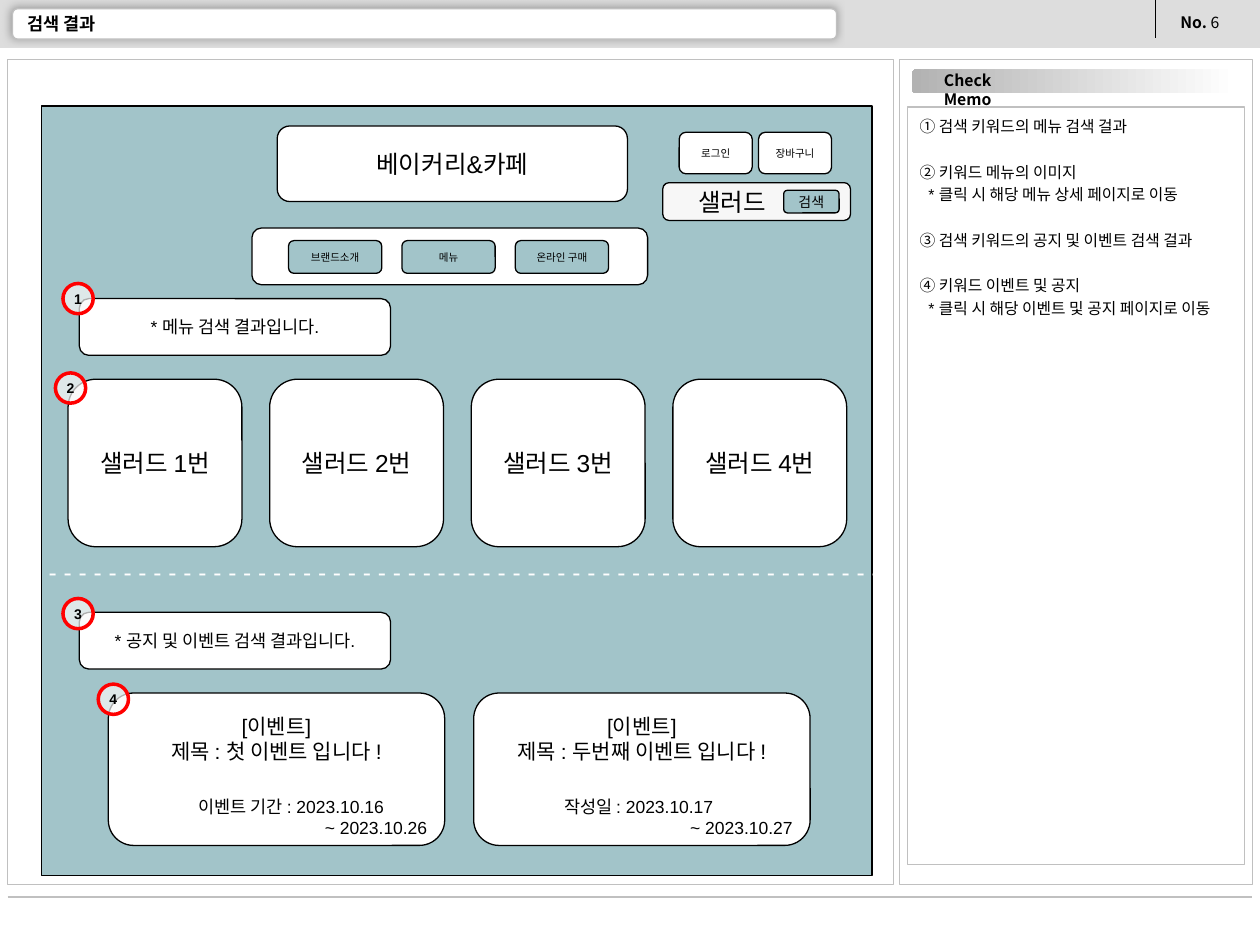
from lxml import etree
from pptx import Presentation
from pptx.dml.color import RGBColor
from pptx.enum.shapes import MSO_CONNECTOR, MSO_SHAPE
from pptx.enum.text import MSO_ANCHOR, PP_ALIGN
from pptx.oxml.ns import qn
from pptx.util import Inches, Pt

RECT, ROUND, OVAL = MSO_SHAPE.RECTANGLE, MSO_SHAPE.ROUNDED_RECTANGLE, MSO_SHAPE.OVAL
LEFT, CENTER = PP_ALIGN.LEFT, PP_ALIGN.CENTER
TOP, MIDDLE = MSO_ANCHOR.TOP, MSO_ANCHOR.MIDDLE

BLACK = RGBColor(0x00, 0x00, 0x00)
WHITE = RGBColor(0xFF, 0xFF, 0xFF)
HEADER = RGBColor(0xDD, 0xDD, 0xDD)
BORDER = RGBColor(0xC0, 0xC0, 0xC0)
SILVER = RGBColor(0xB2, 0xB2, 0xB2)
TEAL = RGBColor(0xA2, 0xC4, 0xC9)
FIELD = RGBColor(0xF7, 0xF7, 0xF7)
BADGE = RGBColor(0xF8, 0xF8, 0xF8)
RED = RGBColor(0xFF, 0x00, 0x00)

SANS, NOTO = "Arial", "Noto Sans CJK KR"

# Content
TITLE = "검색 결과"
# Each memo item is a heading followed by its details
MEMO = [
    ["① 검색 키워드의 메뉴 검색 걸과"],
    ["② 키워드 메뉴의 이미지", "* 클릭 시 해당 메뉴 상세 페이지로 이동"],
    ["③ 검색 키워드의 공지 및 이벤트 검색 걸과"],
    ["④ 키워드 이벤트 및 공지", "* 클릭 시 해당 이벤트 및 공지 페이지로 이동"],
]
NAV = ["브랜드소개", "메뉴", "온라인 구매"]
ACCOUNT = ["로그인", "장바구니"]
RESULT_BARS = [(2.37, "* 메뉴 검색 결과입니다."),
               (4.86, "* 공지 및 이벤트 검색 결과입니다.")]
SALADS = ["샐러드 1번", "샐러드 2번", "샐러드 3번", "샐러드 4번"]
EVENTS = [
    (["[이벤트]", "제목 : 첫 이벤트 입니다 !"],
     ["이벤트 기간 : 2023.10.16", "~ 2023.10.26"]),
    (["[이벤트]", "제목 : 두번째 이벤트 입니다 !"],
     ["작성일 : 2023.10.17", "~ 2023.10.27"]),
]
BADGES = [(0.5, 2.25), (0.44, 2.96), (0.5, 4.75), (0.78, 5.43)]

prs = Presentation()
prs.slide_width, prs.slide_height = Inches(10), Inches(7.5)
s = prs.slides.add_slide(prs.slide_layouts[6])


def write(sp, lines, size, align=CENTER, anchor=MIDDLE, margin=0.1,
          font=SANS, color=BLACK, bold=False):
    tf = sp.text_frame
    tf.word_wrap, tf.vertical_anchor = True, anchor
    tf.margin_left = tf.margin_right = Inches(margin)
    tf.margin_top = tf.margin_bottom = Inches(0.05)
    tf.text = "\n".join(lines)
    for p in tf.paragraphs:
        p.alignment = align
        for r in p.runs:
            r.font.size, r.font.name, r.font.bold = Pt(size), font, bold
            r.font.color.rgb = color
    return tf.paragraphs


def box(kind, x, y, w, h, fill=WHITE, line=BLACK, width=0.75):
    sp = s.shapes.add_shape(kind, Inches(x), Inches(y), Inches(w), Inches(h))
    sp.shadow.inherit = False
    sp.fill.solid()
    sp.fill.fore_color.rgb = fill
    if line is None:
        sp.line.fill.background()
    else:
        sp.line.color.rgb, sp.line.width = line, Pt(width)
    return sp


def text(x, y, w, h, lines, size, **style):
    sp = s.shapes.add_textbox(Inches(x), Inches(y), Inches(w), Inches(h))
    return write(sp, lines, size, **style)


def rule(x1, y1, x2, y2, color, width):
    cn = s.shapes.add_connector(MSO_CONNECTOR.STRAIGHT, Inches(x1), Inches(y1),
                                Inches(x2), Inches(y2))
    cn.line.color.rgb, cn.line.width = color, Pt(width)
    etree.SubElement(cn._element.spPr, qn("a:effectLst"))


def indent(p, inches):
    p._p.get_or_add_pPr().set("marL", str(Inches(inches)))


# Header with page number and title bar
box(RECT, 0, 0, 10, 0.38, HEADER, None)
rule(9.17, 0, 9.17, 0.3, BLACK, 0.75)
number = text(9.27, 0.05, 0.62, 0.25, ["No. "], 9, align=LEFT, anchor=TOP,
              font=NOTO, bold=True)[0]
r = number.add_run()
r.text = "6"
r.font.size, r.font.name, r.font.color.rgb = Pt(9), NOTO, BLACK

bar = box(ROUND, 0.1, 0.07, 6.54, 0.24, line=BORDER)
shadow = etree.SubElement(bar._element.spPr.find(qn("a:effectLst")), qn("a:outerShdw"),
                          blurRad=str(Pt(5)), dist=str(Pt(1.4)), dir="13500000")
etree.SubElement(shadow, qn("a:srgbClr"), val="989898")

# Page frames
rule(0.06, 7.12, 9.94, 7.12, BORDER, 1.5)
box(RECT, 7.14, 0.47, 2.8, 6.55, line=BORDER)
box(RECT, 0.06, 0.47, 7.03, 6.55, line=BORDER)

# Memo panel
tab = box(ROUND, 7.24, 0.55, 2.57, 0.19, line=None)
tab.fill.gradient()
tab.fill.gradient_angle = 180
for stop, color, pos in zip(tab.fill.gradient_stops, (WHITE, SILVER), (0, 1)):
    stop.color.rgb, stop.position = color, pos
text(7.2, 0.51, 0.96, 0.25, ["Check Memo"], 9, anchor=TOP, font=NOTO, bold=True)
text(0.12, 0.1, 5.42, 0.18, [TITLE], 10, align=LEFT, bold=True)

memo = write(box(RECT, 7.2, 0.85, 2.68, 6.01, line=BORDER),
             [line for item in MEMO for line in item], 9, align=LEFT, anchor=TOP)
for i, p in enumerate(memo):
    p.line_spacing = 1.2
    if p.text.startswith("*"):
        indent(p, 0.07)
    elif i:
        p.space_before = Pt(12.9)

# Site header of the wireframe
box(RECT, 0.33, 0.84, 6.59, 6.11, TEAL)
write(box(ROUND, 2.2, 1, 2.78, 0.6), ["베이커리&카페"], 14)
box(ROUND, 2, 1.81, 3.14, 0.45)
search = write(box(ROUND, 5.26, 1.45, 1.49, 0.3, FIELD), ["샐러드"], 14, align=LEFT)
indent(search[0], 0.17)
write(box(ROUND, 6.22, 1.51, 0.44, 0.18, TEAL), ["검색"], 8)
for i, label in enumerate(NAV):
    write(box(ROUND, 2.29 + 0.9 * i, 1.91, 0.74, 0.26, TEAL), [label], 6)
for i, label in enumerate(ACCOUNT):
    write(box(ROUND, 5.39 + 0.63 * i, 1.05, 0.58, 0.33), [label], 6)

# Search results
for y, label in RESULT_BARS:
    write(box(ROUND, 0.63, y, 2.47, 0.45), [label], 10)
for i, label in enumerate(SALADS):
    write(box(ROUND, 0.54 + 1.6 * i, 3.01, 1.38, 1.33), [label], 14)
for i, (heading, dates) in enumerate(EVENTS):
    x = 0.86 + 2.9 * i
    card = box(ROUND, x, 5.5, 2.67, 1.21)
    write(card, heading, 12, anchor=TOP)
    card.text_frame.margin_top = Inches(0.1)
    period = text(x + 0.62, 6.27, 2.03, 0.44, dates, 10, align=LEFT, anchor=TOP)
    indent(period[1], 1)

# Divider between menu and event results
text(0.17, 4.37, 7, 0.34, [" ".join("-" * 57)], 14, align=LEFT, anchor=TOP, color=WHITE)

# Numbered badges
for n, (x, y) in enumerate(BADGES, 1):
    badge = box(OVAL, x, y, 0.24, 0.24, BADGE, RED, 2)
    fill = badge._element.spPr.find(qn("a:solidFill"))
    etree.SubElement(fill[0], qn("a:alpha"), val="70000")
    write(badge, [str(n)], 8, margin=0.04, bold=True)

prs.save("out.pptx")
